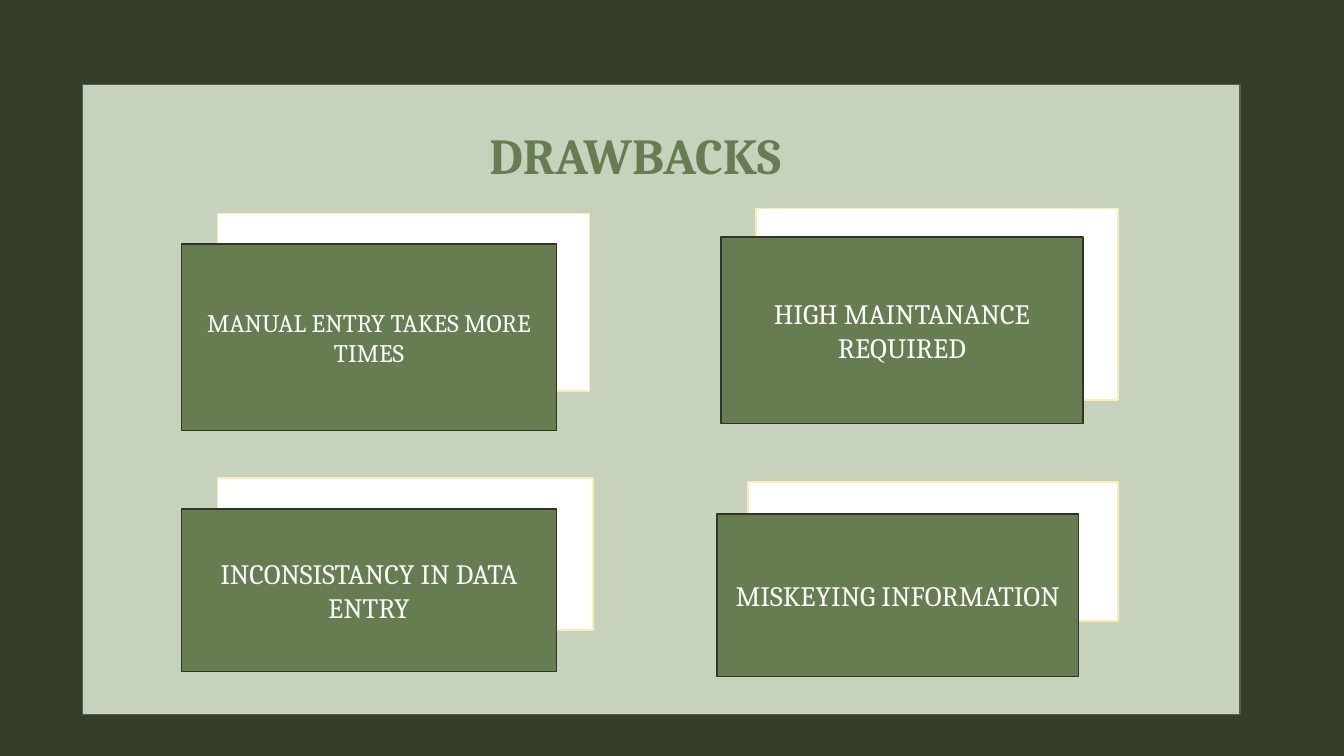
"""Build the drawbacks slide with four layered cards."""
import pptx
import pptx.util
import pptx.dml.color
import pptx.enum.shapes
import pptx.enum.text

Inches = pptx.util.Inches
Kind = pptx.enum.shapes.MSO_SHAPE
Align = pptx.enum.text.PP_ALIGN
Anchor = pptx.enum.text.MSO_ANCHOR

COLORS = {
    "back": "343E29", "panel": "C7D2BC", "edge": "575C52",
    "green": "687C51", "dark": "2E3624", "white": "FFFFFF",
    "cream": "FFEBB3", "pale": "FCFCFC",
}

CARDS = [
    ("HIGH MAINTANANCE REQUIRED", 20, "white",
     (7.5, 2.07, 3.59, 1.9), (7.15, 2.35, 3.59, 1.85)),
    ("MANUAL ENTRY TAKES MORE TIMES", 18, "white",
     (2.16, 2.12, 3.69, 1.76), (1.8, 2.42, 3.72, 1.85)),
    ("MISKEYING INFORMATION", 20, "pale",
     (7.42, 4.78, 3.67, 1.38), (7.11, 5.1, 3.59, 1.61)),
    ("INCONSISTANCY IN DATA ENTRY", 20, "pale",
     (2.16, 4.74, 3.72, 1.51), (1.8, 5.05, 3.72, 1.61)),
]


def color(name):
    """Return the named colour."""
    return pptx.dml.color.RGBColor.from_string(COLORS[name])


def add_box(slide, area, fill, line, kind=Kind.RECTANGLE):
    """Add a filled and outlined shape."""
    box = slide.shapes.add_shape(kind, *map(Inches, area))
    box.shadow.inherit = False
    box.fill.solid()
    box.fill.fore_color.rgb = color(fill)
    box.line.color.rgb = color(line)
    box.line.width = pptx.util.Pt(1)
    return box


def set_text(shape, text, size, tint, bold=False):
    """Write one centred paragraph in a shape."""
    frame = shape.text_frame
    frame.word_wrap = True
    frame.vertical_anchor = Anchor.MIDDLE
    line = frame.paragraphs[0]
    line.alignment = Align.CENTER
    run = line.add_run()
    run.text = text
    run.font.color.rgb = color(tint)
    style = {"name": "Cambria", "size": pptx.util.Pt(size), "bold": bold}
    for key, value in style.items():
        setattr(run.font, key, value)


def add_title(slide, text, area):
    """Add the slide heading."""
    box = slide.shapes.add_textbox(*map(Inches, area))
    set_text(box, text, 36, "green", True)


def add_card(slide, text, size, tint, rear, front):
    """Add a white plate with a green label over it."""
    add_box(slide, rear, "white", "cream")
    label = add_box(slide, front, "green", "dark")
    set_text(label, text, size, tint)


def main():
    """Build and save the slide."""
    deck = pptx.Presentation()
    deck.slide_width = Inches(13.33)
    deck.slide_height = Inches(7.5)
    slide = deck.slides.add_slide(deck.slide_layouts[6])
    slide.background.fill.solid()
    slide.background.fill.fore_color.rgb = color("back")
    add_box(slide, (0.82, 0.84, 11.48, 6.25), "panel", "edge",
            Kind.FLOWCHART_PROCESS)
    add_title(slide, "DRAWBACKS", (4.1, 1.18, 4.4, 0.71))
    for card in CARDS:
        add_card(slide, *card)
    deck.save("out.pptx")


if __name__ == "__main__":
    main()
